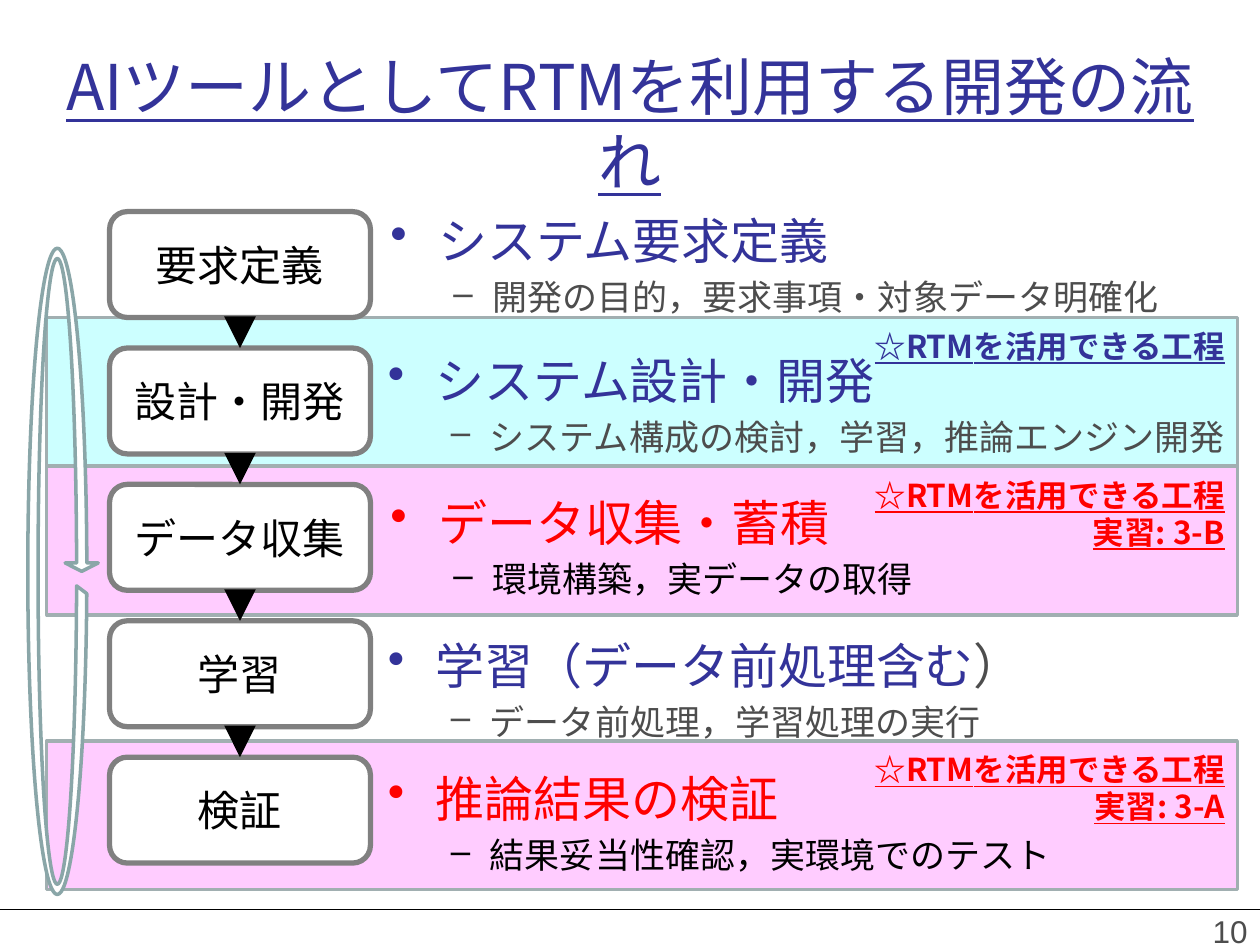
"""Build the slide on the development flow that uses RTM as an AI tool."""
from dataclasses import dataclass

from lxml import etree
from pptx import Presentation
from pptx.dml.color import RGBColor
from pptx.enum.shapes import MSO_CONNECTOR, MSO_SHAPE
from pptx.enum.text import MSO_ANCHOR, PP_ALIGN
from pptx.oxml.ns import qn
from pptx.util import Inches, Pt

STRAIGHT = MSO_CONNECTOR.STRAIGHT
RECT, ROUND = MSO_SHAPE.RECTANGLE, MSO_SHAPE.ROUNDED_RECTANGLE
LOOP = MSO_SHAPE.CIRCULAR_ARROW
TOP, MIDDLE = MSO_ANCHOR.TOP, MSO_ANCHOR.MIDDLE
LEFT, CENTER, RIGHT = PP_ALIGN.LEFT, PP_ALIGN.CENTER, PP_ALIGN.RIGHT

COLORS = {
    "navy": "333399", "red": "FF0000", "gray": "4D4D4D", "black": "000000",
    "white": "FFFFFF", "cyan": "CCFFFF", "pink": "FFCCFF",
    "band_line": "A1AFB1", "node_line": "808080", "loop_line": "8AA6A8",
}
JP = "Noto Sans CJK JP"
LEADING = 1.18
NODE_TOP, NODE_PITCH = 1.68, (6.01 - 1.68) / 4
BADGE = "☆RTMを活用できる工程"


@dataclass
class Run:
    text: str
    size: int
    color: str
    font: str = JP
    bold: bool = False
    underline: bool = False


@dataclass
class Bullet:
    char: str
    margin: float
    hang: float
    level: int


@dataclass
class Stage:
    node: str
    left: float
    top: float
    height: float
    heading: list[Run]
    detail: Run


@dataclass
class Band:
    top: float
    fill: str
    color: str
    lines: list[str]


BULLETS = [Bullet("•", 0.38, 0.38, 0), Bullet("–", 0.81, 0.31, 1)]
STAGES = [
    Stage("要求定義", 3, 1.58, 0.9, [Run("システム要求定義", 28, "navy")],
          Run("開発の目的，要求事項・対象データ明確化", 20, "gray")),
    Stage("設計・開発", 2.98, 2.69, 0.9, [Run("システム設計・開発", 28, "navy")],
          Run("システム構成の検討，学習，推論エンジン開発", 20, "gray")),
    Stage("データ収集", 3, 3.82, 0.9, [Run("データ収集・蓄積", 28, "red")],
          Run("環境構築，実データの取得", 20, "black")),
    Stage("学習", 2.98, 4.95, 0.9,
          [Run("学習（データ前処理含む", 28, "navy"), Run("）", 28, "gray")],
          Run("データ前処理，学習処理の実行", 20, "gray")),
    Stage("検証", 2.98, 6.01, 0.9, [Run("推論結果の検証", 28, "red")],
          Run("結果妥当性確認，実環境でのテスト", 20, "black")),
]
BANDS = [
    Band(2.52, "cyan", "navy", [BADGE]),
    Band(5.88, "pink", "red", [BADGE, "実習: 3-A"]),
    Band(3.7, "pink", "red", [BADGE, "実習: 3-B"]),
]


def rgb(name: str) -> RGBColor:
    return RGBColor.from_string(COLORS[name])


def add_bullet(p, bullet: Bullet) -> None:
    pPr = p._p.get_or_add_pPr()
    pPr.set("marL", str(Inches(bullet.margin)))
    pPr.set("indent", str(-Inches(bullet.hang)))
    etree.SubElement(pPr, qn("a:buChar")).set("char", bullet.char)
    p.level = bullet.level


def write(sp, lines: list[list[Run]], align, anchor=TOP, inset=0.05,
          side=0.1, bullets=(), exact=True) -> None:
    tf = sp.text_frame
    frame = {"word_wrap": True, "vertical_anchor": anchor,
             "margin_left": Inches(side), "margin_right": Inches(side),
             "margin_top": Inches(inset), "margin_bottom": Inches(0.05)}
    for name, value in frame.items():
        setattr(tf, name, value)
    for i, runs in enumerate(lines):
        p = tf.add_paragraph() if i else tf.paragraphs[0]
        if bullets:
            add_bullet(p, bullets[i])
            p.space_before = Pt(0.2 * runs[0].size if i else 0)
        p.alignment = align
        if exact:
            p.line_spacing = Pt(round(runs[0].size * LEADING, 1))
        for item in runs:
            r = p.add_run()
            r.text = item.text
            fmt = {"size": Pt(item.size), "name": item.font,
                   "bold": item.bold, "underline": item.underline}
            for name, value in fmt.items():
                setattr(r.font, name, value)
            r.font.color.rgb = rgb(item.color)
            ea = etree.SubElement(r._r.get_or_add_rPr(), qn("a:ea"))
            ea.set("typeface", item.font)


def add_box(s, kind, at: tuple, fill: str, line: str, width: float):
    sp = s.shapes.add_shape(kind, *map(Inches, at))
    sp.shadow.inherit = False
    sp.fill.solid()
    sp.fill.fore_color.rgb = rgb(fill)
    sp.line.color.rgb = rgb(line)
    sp.line.width = Pt(width)
    return sp


def add_text(s, at: tuple, lines: list[list[Run]], align, **options) -> None:
    write(s.shapes.add_textbox(*map(Inches, at)), lines, align, **options)


def add_line(s, ends: tuple, width: float):
    cxn = s.shapes.add_connector(STRAIGHT, *map(Inches, ends))
    cxn.line.color.rgb = rgb("black")
    cxn.line.width = Pt(width)
    etree.SubElement(cxn._element.spPr, qn("a:effectLst"))
    return cxn


def add_arrow(s, upper, lower) -> None:
    cxn = add_line(s, (0, 0, 1, 1), 6)
    cxn.begin_connect(upper, 2)
    cxn.end_connect(lower, 0)
    etree.SubElement(cxn.line._get_or_add_ln(), qn("a:tailEnd")).set("type", "triangle")


def main() -> None:
    prs = Presentation()
    prs.slide_width, prs.slide_height = Inches(10), Inches(7.5)
    s = prs.slides.add_slide(prs.slide_layouts[6])
    add_line(s, (0, 7.22, 10, 7.22), 0.75)
    for band in BANDS:
        sp = add_box(s, RECT, (0.37, band.top, 9.45, 1.18), band.fill, "band_line", 2)
        lines = [[Run(t, 18, band.color, bold=True, underline=True)] for t in band.lines]
        write(sp, lines, RIGHT, inset=0.08)
    title = Run("AIツールとしてRTMを利用する開発の流れ", 36, "navy", underline=True)
    add_text(s, (0.25, 0.3, 9.5, 1.25), [[title]], CENTER,
             anchor=MIDDLE, inset=0.16, side=0.15)
    add_text(s, (7.67, 7.19, 2.33, 0.31), [[Run("10", 18, "gray", "Arial")]],
             RIGHT, exact=False)
    nodes = []
    for i, stage in enumerate(STAGES):
        at = (0.87, NODE_TOP + i * NODE_PITCH, 2.07, 0.84)
        sp = add_box(s, ROUND, at, "white", "node_line", 3)
        write(sp, [[Run(stage.node, 24, "black")]], CENTER, MIDDLE, exact=False)
        nodes.append(sp)
        add_text(s, (stage.left, stage.top, 7, stage.height),
                 [stage.heading, [stage.detail]], LEFT, inset=0.1, bullets=BULLETS)
    for upper, lower in zip(nodes, nodes[1:]):
        add_arrow(s, upper, lower)
    loop = add_box(s, LOOP, (0.13, 1.88, 0.65, 5.31), "white", "loop_line", 2)
    for i, value in enumerate((0.125, 11.423, 204.577, 22.235, 0.202)):
        loop.adjustments[i] = value
    prs.save("out.pptx")


if __name__ == "__main__":
    main()
